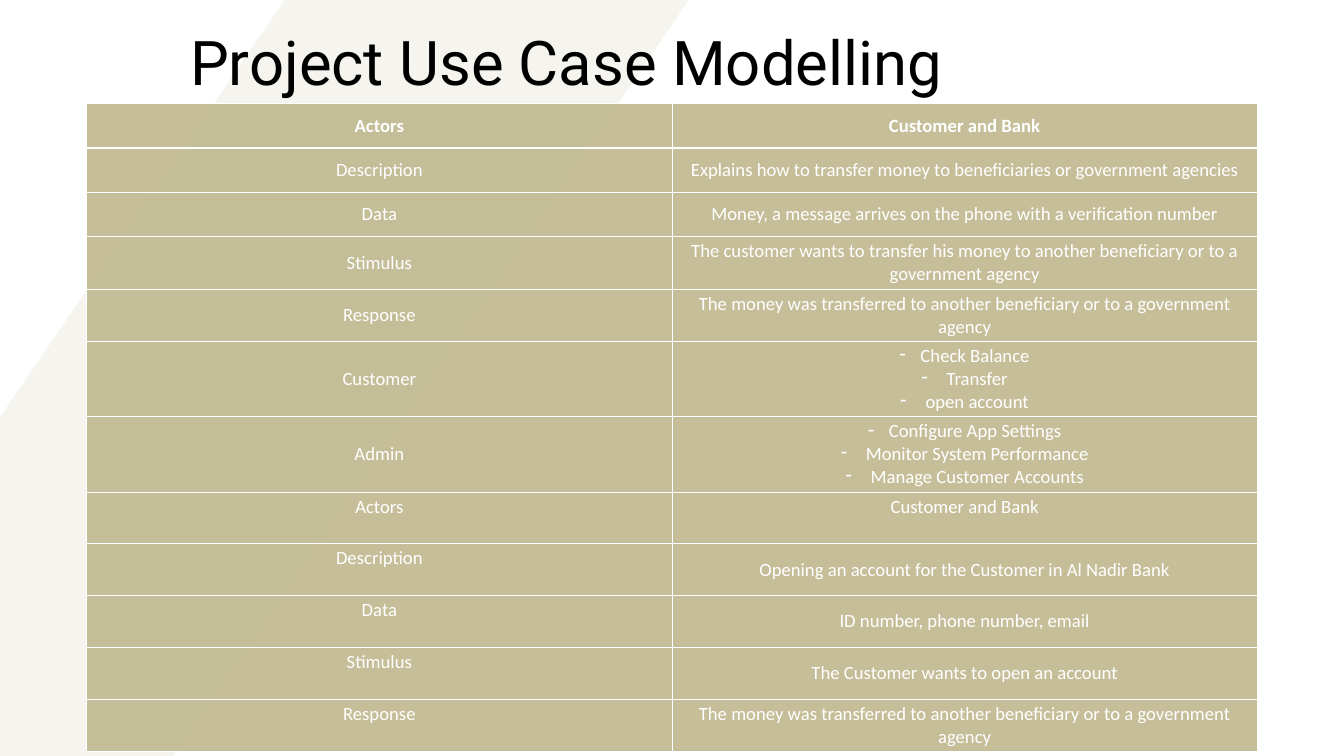
from lxml import etree
from pptx import Presentation
from pptx.dml.color import RGBColor
from pptx.enum.shapes import MSO_SHAPE
from pptx.enum.text import MSO_ANCHOR, MSO_AUTO_SIZE, PP_ALIGN
from pptx.oxml.ns import qn
from pptx.util import Inches, Pt

RECTANGLE = MSO_SHAPE.RECTANGLE
TOP, MIDDLE = MSO_ANCHOR.TOP, MSO_ANCHOR.MIDDLE
LEFT, CENTER = PP_ALIGN.LEFT, PP_ALIGN.CENTER
NO_FIT = MSO_AUTO_SIZE.NONE

COLORS = {"band": "F6F4EF", "title": "000000", "cell": "C4BD97", "white": "FFFFFF"}
SHORT, TWO_LINE, THREE_LINE = 0.66, 0.77, 1.1
TRANSFERRED = "The money was transferred to another beneficiary or to a government agency"

# Row height, label, lines of the right cell, anchors of both cells
ROWS = [
    (SHORT, "Actors", ["Customer and Bank"], MIDDLE, MIDDLE),
    (SHORT, "Description",
     ["Explains how to transfer money to beneficiaries or government agencies"],
     MIDDLE, MIDDLE),
    (SHORT, "Data",
     ["Money, a message arrives on the phone with a verification number"],
     MIDDLE, MIDDLE),
    (TWO_LINE, "Stimulus",
     ["The customer wants to transfer his money to another beneficiary or to a "
      "government agency"], MIDDLE, MIDDLE),
    (TWO_LINE, "Response", [TRANSFERRED], MIDDLE, MIDDLE),
    (THREE_LINE, "Customer", ["Check Balance", " Transfer", " open account"],
     MIDDLE, MIDDLE),
    (THREE_LINE, "Admin",
     ["Configure App Settings", " Monitor System Performance",
      " Manage Customer Accounts"], MIDDLE, MIDDLE),
    (TWO_LINE, "Actors", ["Customer and Bank"], TOP, TOP),
    (TWO_LINE, "Description",
     ["Opening an account for the Customer in Al Nadir Bank"], TOP, MIDDLE),
    (TWO_LINE, "Data", ["ID number, phone number, email"], TOP, MIDDLE),
    (TWO_LINE, "Stimulus", ["The Customer wants to open an account"], TOP, MIDDLE),
    (TWO_LINE, "Response", [TRANSFERRED], TOP, MIDDLE),
]


def style_font(font, name, size, color, bold=False):
    values = {"name": name, "size": Pt(size), "bold": bold}
    for key, value in values.items():
        setattr(font, key, value)
    font.color.rgb = RGBColor.from_string(COLORS[color])


def style_cell(cell, widths):
    """Fill the cell and draw its borders; widths maps side to points."""
    cell.fill.solid()
    cell.fill.fore_color.rgb = RGBColor.from_string(COLORS["cell"])
    tcPr = cell._tc.get_or_add_tcPr()
    color = tcPr.find(qn("a:solidFill"))[0]
    etree.SubElement(color, qn("a:alpha"), val="98000")
    for i, (side, width) in enumerate(widths.items()):
        ln = etree.Element(qn(f"a:ln{side}"), w=str(Pt(width)))
        fill = etree.SubElement(ln, qn("a:solidFill"))
        etree.SubElement(fill, qn("a:srgbClr"), val=COLORS["white"])
        tcPr.insert(i, ln)


prs = Presentation()
prs.slide_width, prs.slide_height = Inches(20), Inches(11.25)
s = prs.slides.add_slide(prs.slide_layouts[5])

# Diagonal background band, moved behind the title
band = s.shapes.add_shape(RECTANGLE, Inches(-5.6), Inches(3.25),
                          Inches(17.86), Inches(4.97))
band.rotation = 124.3
band.shadow.inherit = False
band.fill.solid()
band.fill.fore_color.rgb = RGBColor.from_string(COLORS["band"])
band.line.fill.background()
s.shapes._spTree.insert(2, band._element)

# Title
title = s.shapes.title
box = {"left": 2.83, "top": 0, "width": 14.6, "height": 1.46}
for key, value in box.items():
    setattr(title, key, Inches(value))
tf = title.text_frame
frame = {"margin_left": 0, "margin_top": 0, "margin_right": 0, "margin_bottom": 0,
         "vertical_anchor": TOP, "word_wrap": True, "auto_size": NO_FIT}
for key, value in frame.items():
    setattr(tf, key, value)
p = tf.paragraphs[0]
p.alignment = LEFT
p.line_spacing = Pt(104.4)
r = p.add_run()
r.text = "Project Use Case Modelling"
style_font(r.font, "Roboto", 66, "title")

# Use case table
table = s.shapes.add_table(len(ROWS), 2, Inches(1.29), Inches(1.54), Inches(17.42),
                           Inches(sum(row[0] for row in ROWS))).table
table.horz_banding = False
for i, (height, label, lines, label_anchor, text_anchor) in enumerate(ROWS):
    table.rows[i].height = Inches(height)
    borders = {"L": 1, "R": 1, "T": 3 if i == 1 else 1, "B": 3 if i == 0 else 1}
    for j, (texts, anchor) in enumerate([([label], label_anchor),
                                         (lines, text_anchor)]):
        cell = table.cell(i, j)
        style_cell(cell, borders)
        cell.vertical_anchor = anchor
        tf = cell.text_frame
        for k, text in enumerate(texts):
            p = tf.paragraphs[0] if k == 0 else tf.add_paragraph()
            p.alignment = CENTER
            if len(texts) > 1:
                pPr = p._p.get_or_add_pPr()
                pPr.set("marL", str(Inches(0.31)))
                pPr.set("indent", str(Inches(-0.31)))
                etree.SubElement(pPr, qn("a:buChar"), char="-")
            r = p.add_run()
            r.text = text
            style_font(r.font, "Calibri", 20, "white", bold=i == 0)

prs.save("out.pptx")
